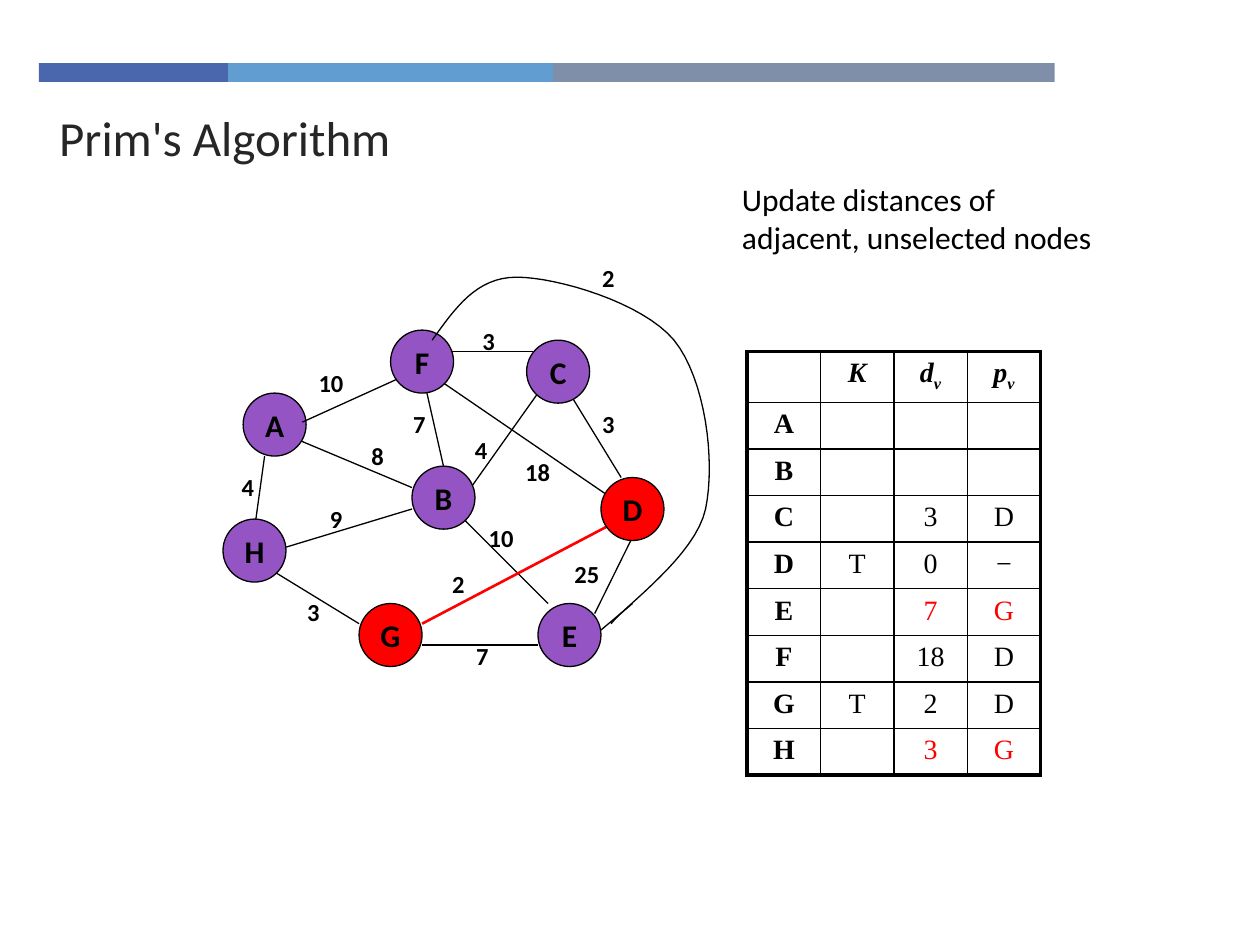
from pptx import Presentation
from pptx.dml.color import RGBColor
from pptx.enum.shapes import MSO_CONNECTOR, MSO_SHAPE
from pptx.enum.text import MSO_ANCHOR, PP_ALIGN
from pptx.oxml import parse_xml
from pptx.oxml.ns import nsdecls
from pptx.util import Inches, Pt

COLORS = {
    "black": "000000", "red": "FF0000", "purple": "9454C3", "title": "262626",
    "bar_dark": "4A66AC", "bar_light": "629DD1", "bar_gray": "7F8FA9",
}
SANS, SERIF = "Calibri", "Times New Roman"

# Left, width, colour
BARS = [(0.31, 1.5, "bar_dark"), (1.81, 2.58, "bar_light"), (4.39, 3.98, "bar_gray")]

# Name: left, top, colour
NODES = {
    "A": (1.93, 3.12, "purple"), "H": (1.77, 4.12, "purple"),
    "B": (3.27, 3.7, "purple"), "F": (3.1, 2.62, "purple"),
    "E": (4.27, 4.79, "purple"), "D": (4.77, 3.79, "red"),
    "C": (4.18, 2.7, "purple"), "G": (2.85, 4.79, "red"),
}
NODE_SIZE = 0.5

# Start, end, weight, left and top of the weight
EDGES = [
    ((5.13, 4.04), (4.72, 4.87), "25", (4.46, 4.39)),
    ((3.35, 2.95), (3.52, 3.7), "7", (3.18, 3.2)),
    ((3.68, 3.95), (4.27, 3.12), "4", (3.67, 3.4)),
    ((4.85, 3.95), (3.52, 3.04), "18", (4.07, 3.58)),
    ((2.18, 4.37), (3.27, 4.04), "9", (2.52, 3.95)),
    ((2.02, 4.2), (2.1, 3.62), "4", (1.82, 3.7)),
    ((2.27, 3.45), (3.27, 3.87), "8", (2.85, 3.45)),
    ((3.56, 2.79), (4.23, 2.79), "3", (3.73, 2.54)),
    ((4.52, 3.12), (4.93, 3.79), "3", (4.68, 3.2)),
    ((3.68, 4.12), (4.35, 4.79), "10", (3.78, 4.1)),
    ((4.27, 5.12), (3.35, 5.12), "7", (3.68, 5.04)),
    ((2.85, 4.95), (2.18, 4.54), "3", (2.34, 4.69)),
]
SELECTED_EDGE = ((3.35, 4.95), (4.93, 4.12), "2", (3.49, 4.47))
FRONT_EDGE = ((2.4, 3.35), (3.15, 3.01), "10", (2.43, 2.87))

# Bezier segments of the long edge from F to E
CURVE = [
    ((3.43, 2.7), (3.61, 2.45), (3.78, 2.2), (4.1, 2.2)),
    ((4.1, 2.2), (4.42, 2.2), (5.1, 2.4), (5.35, 2.7)),
    ((5.35, 2.7), (5.6, 3.01), (5.68, 3.66), (5.6, 4.04)),
    ((5.6, 4.04), (5.52, 4.41), (4.97, 4.8), (4.85, 4.95)),
]

TABLE_ROWS = [
    ["", "K", "dv", "pv"],
    ["A", "", "", ""],
    ["B", "", "", ""],
    ["C", "", "3", "D"],
    ["D", "T", "0", "−"],
    ["E", "", "7", "G"],
    ["F", "", "18", "D"],
    ["G", "T", "2", "D"],
    ["H", "", "3", "G"],
]
UPDATED_ROWS = ("E", "H")


def color(name):
    return RGBColor.from_string(COLORS[name])


def format_runs(paragraph, size, font_name=SANS, color_name="black", bold=False, italic=False):
    for run in paragraph.runs:
        run.font.size = Pt(size)
        run.font.name = font_name
        run.font.bold = bold
        run.font.italic = italic
        run.font.color.rgb = color(color_name)


def add_title(slide, text):
    title = slide.shapes.title
    title.left, title.top = Inches(0.37), Inches(0.8)
    title.width, title.height = Inches(7.16), Inches(0.54)
    title.text_frame.text = text
    title.text_frame.vertical_anchor = MSO_ANCHOR.TOP
    paragraph = title.text_frame.paragraphs[0]
    paragraph.alignment = PP_ALIGN.LEFT
    format_runs(paragraph, 28, color_name="title")


def add_bar(slide, left, width, color_name):
    bar = slide.shapes.add_shape(
        MSO_SHAPE.RECTANGLE, Inches(left), Inches(0.5), Inches(width), Inches(0.15))
    bar.shadow.inherit = False
    bar.fill.solid()
    bar.fill.fore_color.rgb = color(color_name)
    bar.line.fill.background()


def add_text(slide, text, left, top, width, height, size, bold=False):
    box = slide.shapes.add_textbox(Inches(left), Inches(top), Inches(width), Inches(height))
    box.text_frame.word_wrap = True
    box.text_frame.text = text
    format_runs(box.text_frame.paragraphs[0], size, bold=bold)


def add_weight(slide, text, left, top):
    add_text(slide, text, left, top, 0.33 if len(text) == 1 else 0.52, 0.33, 14, bold=True)


def add_line(slide, start, end, color_name="black", width=0.75):
    points = [Inches(value) for value in (*start, *end)]
    line = slide.shapes.add_connector(MSO_CONNECTOR.STRAIGHT, *points)
    line.line.color.rgb = color(color_name)
    line.line.width = Pt(width)
    line._element.spPr.append(parse_xml(f"<a:effectLst {nsdecls('a')}/>"))


def add_node(slide, name, left, top, color_name):
    node = slide.shapes.add_shape(
        MSO_SHAPE.OVAL, Inches(left), Inches(top), Inches(NODE_SIZE), Inches(NODE_SIZE))
    node.shadow.inherit = False
    node.fill.solid()
    node.fill.fore_color.rgb = color(color_name)
    node.line.color.rgb = color("black")
    node.line.width = Pt(0.75)
    node.text_frame.word_wrap = False
    node.text_frame.vertical_anchor = MSO_ANCHOR.MIDDLE
    node.text_frame.text = name
    node.text_frame.paragraphs[0].alignment = PP_ALIGN.CENTER
    format_runs(node.text_frame.paragraphs[0], 18, bold=True)


def bezier_point(segment, t):
    factors = ((1 - t) ** 3, 3 * t * (1 - t) ** 2, 3 * t ** 2 * (1 - t), t ** 3)
    return tuple(Inches(sum(f * point[axis] for f, point in zip(factors, segment)))
                 for axis in (0, 1))


def add_curve(slide, segments, steps=16):
    points = [bezier_point(segment, step / steps)
              for segment in segments for step in range(1, steps + 1)]
    builder = slide.shapes.build_freeform(*bezier_point(segments[0], 0))
    builder.add_line_segments(points, close=False)
    curve = builder.convert_to_shape()
    curve.shadow.inherit = False
    curve.fill.background()
    curve.line.color.rgb = color("black")
    curve.line.width = Pt(0.75)


def set_borders(cell, outer_sides):
    properties = cell._tc.get_or_add_tcPr()
    for side in "LRTB":
        width = Pt(2.25 if side in outer_sides else 1)
        properties.append(parse_xml(
            f'<a:ln{side} {nsdecls("a")} w="{width}"><a:solidFill>'
            f'<a:srgbClr val="{COLORS["black"]}"/></a:solidFill></a:ln{side}>'))


def fill_cell(cell, text, is_header, bold, color_name):
    paragraph = cell.text_frame.paragraphs[0]
    paragraph.alignment = PP_ALIGN.CENTER
    if not text:
        paragraph._p.get_or_add_endParaRPr().set("sz", "1600")
        return
    # A second letter in the header is a subscript
    for part in text if is_header else [text]:
        paragraph.add_run().text = part
    format_runs(paragraph, 16, SERIF, color_name, bold, italic=is_header)
    for run in paragraph.runs[1:]:
        run._r.get_or_add_rPr().set("baseline", "-25000")


def add_distance_table(slide):
    last_row, last_column = len(TABLE_ROWS) - 1, len(TABLE_ROWS[0]) - 1
    table = slide.shapes.add_table(
        last_row + 1, last_column + 1,
        Inches(5.93), Inches(2.79), Inches(2.33), Inches(3.36)).table
    table.first_row = table.horz_banding = False
    for row_index, values in enumerate(TABLE_ROWS):
        table.rows[row_index].height = Inches(0.37 if row_index else 0.4)
        for column_index, text in enumerate(values):
            cell = table.cell(row_index, column_index)
            edges = {"L": column_index == 0, "R": column_index == last_column,
                     "T": row_index == 0, "B": row_index == last_row}
            set_borders(cell, [side for side, is_outer in edges.items() if is_outer])
            cell.fill.background()
            is_updated = column_index > 0 and values[0] in UPDATED_ROWS
            fill_cell(cell, text, row_index == 0, row_index == 0 or column_index == 0,
                      "red" if is_updated else "black")


def main():
    presentation = Presentation()
    presentation.slide_width, presentation.slide_height = Inches(10), Inches(7.5)
    slide = presentation.slides.add_slide(presentation.slide_layouts[5])

    # Heading
    for bar in BARS:
        add_bar(slide, *bar)
    add_title(slide, "Prim's Algorithm")
    add_text(slide, "Update distances of adjacent, unselected nodes", 5.79, 1.38, 3.17, 0.77, 18)

    # Graph
    for start, end, *_ in EDGES:
        add_line(slide, start, end)
    add_line(slide, *SELECTED_EDGE[:2], "red", 1.5)
    for name, node in NODES.items():
        add_node(slide, name, *node)
    add_line(slide, *FRONT_EDGE[:2])
    add_curve(slide, CURVE)
    add_line(slide, (5.02, 4.79), (4.77, 5))
    for _, _, weight, position in [*EDGES, SELECTED_EDGE, FRONT_EDGE]:
        add_weight(slide, weight, *position)
    add_weight(slide, "2", 4.68, 2.04)

    # Distances
    add_distance_table(slide)
    presentation.save("out.pptx")


if __name__ == "__main__":
    main()
